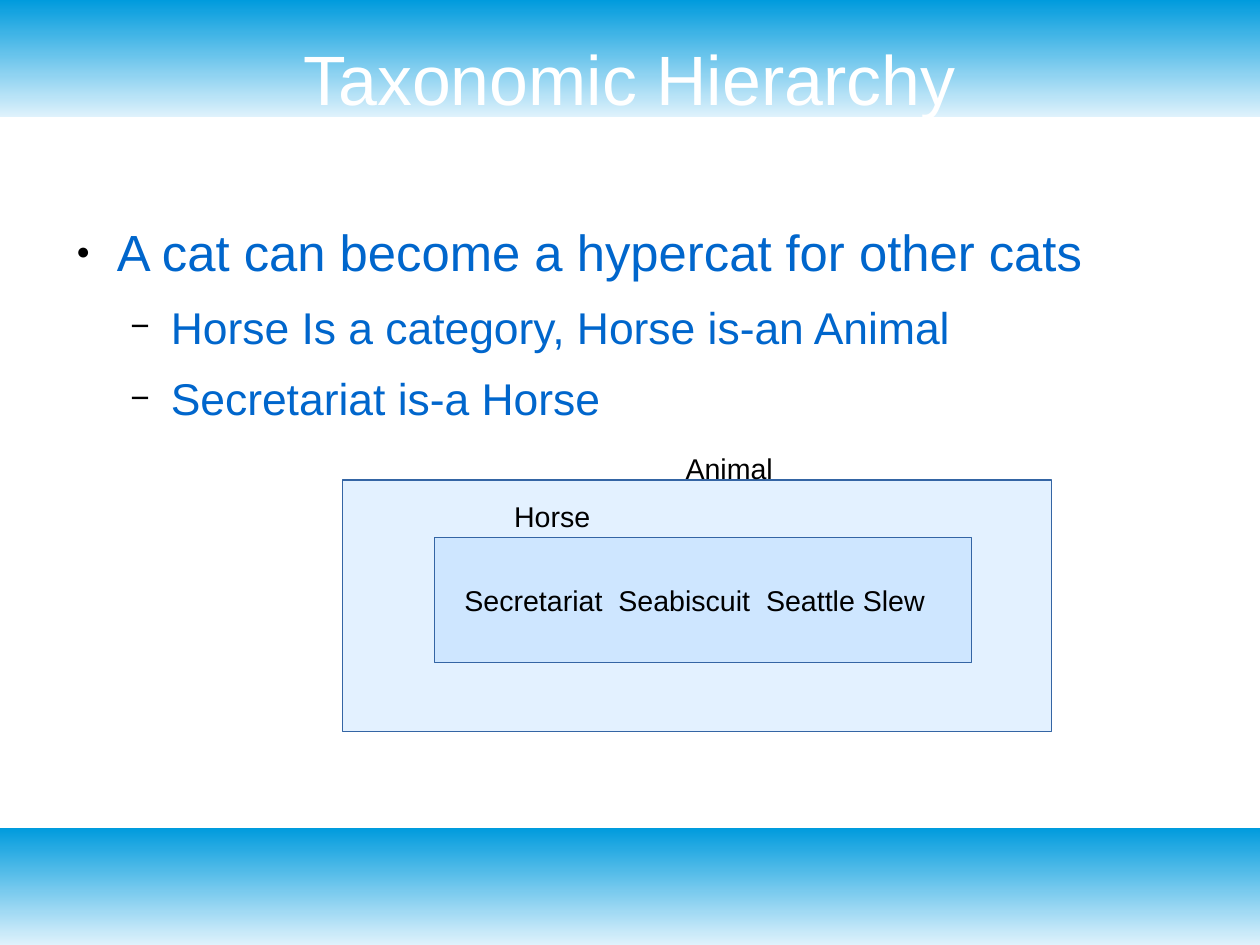
from lxml.etree import SubElement
from pptx import Presentation
from pptx.dml.color import RGBColor
from pptx.enum.shapes import MSO_SHAPE as Shape
from pptx.enum.text import MSO_ANCHOR as Anchor, MSO_AUTO_SIZE as AutoSize, PP_ALIGN as Align
from pptx.oxml.ns import qn
from pptx.util import Pt

COLORS = {
    "band_dark": "009BDD",
    "band_light": "DFF2FC",
    "title": "FFFFFF",
    "body": "0066CC",
    "label": "000000",
    "box_fill": "99CCFF",
    "box_line": "3465A4",
}
WIDTH, HEIGHT, BAND_HEIGHT = 793.75, 595.25, 74


def color(name):
    return RGBColor.from_string(COLORS[name])


def write(paragraph, text, size=18, color_name="label", align=Align.LEFT, before=0):
    paragraph.alignment = align
    paragraph.space_before = Pt(before)
    run = paragraph.add_run()
    run.text = text
    run.font.name = "Arial"
    run.font.size = Pt(size)
    run.font.color.rgb = color(color_name)


presentation = Presentation()
presentation.slide_width, presentation.slide_height = Pt(WIDTH), Pt(HEIGHT)
slide = presentation.slides.add_slide(presentation.slide_layouts[1])
title, body = slide.placeholders

# Gradient bands behind the text
for top in (0, HEIGHT - BAND_HEIGHT):
    band = slide.shapes.add_shape(Shape.RECTANGLE, Pt(0), Pt(top), Pt(WIDTH), Pt(BAND_HEIGHT))
    band.shadow.inherit = False
    band.line.fill.background()
    band.fill.gradient()
    band.fill.gradient_angle = 90
    for stop, name in zip(band.fill.gradient_stops, ("band_light", "band_dark")):
        stop.color.rgb = color(name)
    title._element.addprevious(band._element)

# Title and body placeholders
for placeholder, top, height, anchor in (
    (title, 24, 50, Anchor.MIDDLE),
    (body, 139, 345, Anchor.TOP),
):
    placeholder.left, placeholder.top = Pt(39.6), Pt(top)
    placeholder.width, placeholder.height = Pt(714.2), Pt(height)
    frame = placeholder.text_frame
    frame.margin_left = frame.margin_top = frame.margin_right = frame.margin_bottom = 0
    frame.vertical_anchor = anchor
    frame.auto_size = AutoSize.NONE
write(title.text_frame.paragraphs[0], "Taxonomic Hierarchy", size=44, color_name="title",
      align=Align.CENTER)

# Bulleted list: text, level, size, space before, bullet, bullet percent
items = [
    ("A cat can become a hypercat for other cats", 0, 32, 0, "●", 45),
    ("Horse Is a category, Horse is-an Animal", 1, 28, 11.3, "−", 75),
    ("Secretariat is-a Horse", 1, 28, 11.3, "−", 75),
]
for index, (text, level, size, before, bullet, percent) in enumerate(items):
    frame = body.text_frame
    paragraph = frame.paragraphs[0] if index == 0 else frame.add_paragraph()
    paragraph.level = level
    properties = paragraph._p.get_or_add_pPr()
    properties.set("marL", str(Pt(34 * (level + 1))))
    properties.set("indent", str(Pt(-25.5)))
    bullet_color = SubElement(properties, qn("a:buClr"))
    SubElement(bullet_color, qn("a:srgbClr"), val=COLORS["label"])
    SubElement(properties, qn("a:buSzPct"), val=str(percent * 1000))
    SubElement(properties, qn("a:buFont"), typeface="Arial")
    SubElement(properties, qn("a:buChar"), char=bullet)
    write(paragraph, text, size=size, color_name="body", before=before)

# Nested category boxes, each with its label
categories = [
    ("Animal", (424.8, 280.6, 122.4, 27.4), (216, 302.4, 446.4, 158.4)),
    ("Horse", (316.8, 311, 72, 27.4), (273.6, 338.4, 338.4, 79.2)),
]
for name, label_place, box_place in categories:
    box = slide.shapes.add_shape(Shape.RECTANGLE, *map(Pt, box_place))
    box.shadow.inherit = False
    box.fill.solid()
    box.fill.fore_color.rgb = color("box_fill")
    fill_color = box._element.spPr.find(qn("a:solidFill"))[0]
    SubElement(fill_color, qn("a:alpha"), val="27000")
    box.line.color.rgb = color("box_line")
    box.line.width = Pt(0)
    label = slide.shapes.add_textbox(*map(Pt, label_place))
    label.text_frame.word_wrap = True
    write(label.text_frame.paragraphs[0], name)

# Members of the innermost category, spaced with tab stops
frame = box.text_frame
frame.word_wrap = True
frame.vertical_anchor = Anchor.MIDDLE
frame.margin_left, frame.margin_right = Pt(19), Pt(7.2)
paragraph = frame.paragraphs[0]
tab_list = SubElement(paragraph._p.get_or_add_pPr(), qn("a:tabLst"))
for position in (97, 190):
    SubElement(tab_list, qn("a:tab"), pos=str(Pt(position)), algn="l")
write(paragraph, "Secretariat\tSeabiscuit\tSeattle Slew")

presentation.save("out.pptx")
